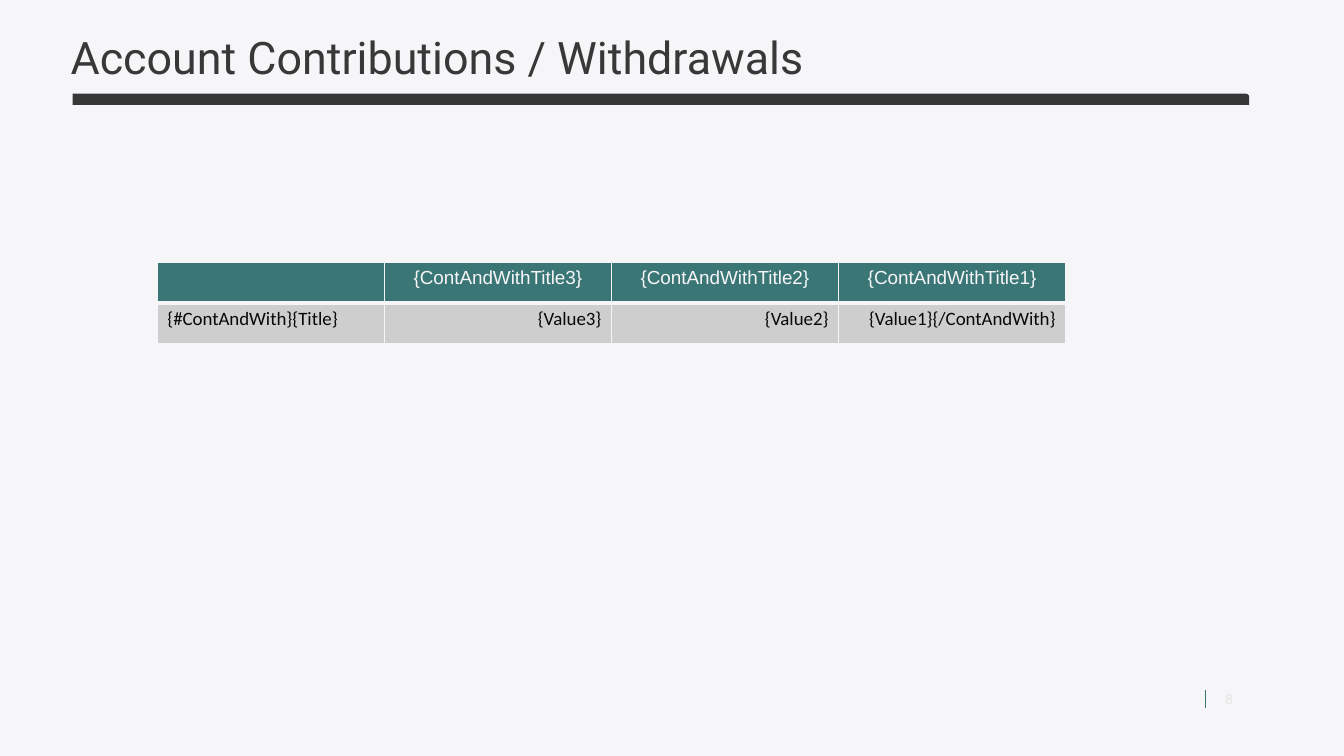
from lxml import etree
from pptx import Presentation
from pptx import util as u
from pptx.dml.color import RGBColor
from pptx.enum import shapes, text
from pptx.oxml import ns

PAPER = RGBColor(0xF6, 0xF5, 0xF7)
TEAL = RGBColor(0x3B, 0x76, 0x76)
CHARCOAL = RGBColor(0x38, 0x38, 0x38)
GREY = RGBColor(0xCE, 0xCE, 0xCE)
INK = RGBColor(0x08, 0x08, 0x08)
BAR = RGBColor(0x0C, 0x0C, 0x0C)
PALE = RGBColor(0xE6, 0xE6, 0xE6)
LEFT, CENTER, RIGHT = text.PP_ALIGN.LEFT, text.PP_ALIGN.CENTER, text.PP_ALIGN.RIGHT


class Deck:
    """Holds the presentation style and the current slide."""

    def __init__(self):
        self.prs = Presentation()
        self.prs.slide_width, self.prs.slide_height = u.Inches(13.33), u.Inches(7.5)
        self.s = self.prs.slides.add_slide(self.prs.slide_layouts[5])
        self.s.background.fill.solid()
        self.s.background.fill.fore_color.rgb = PAPER

    def add_text(self, tf, words, size, font, color, align):
        p = tf.paragraphs[0]
        p.alignment = align
        r = p.add_run()
        r.text = words
        r.font.size, r.font.name = u.Pt(size), font
        r.font.color.rgb = color
        return p

    def title(self, words, box):
        sp = self.s.shapes.title
        sp.left, sp.top, sp.width, sp.height = map(u.Inches, box)
        tf = sp.text_frame
        tf.word_wrap = True
        tf.vertical_anchor = text.MSO_ANCHOR.MIDDLE
        self.add_text(tf, words, 32, "Roboto", CHARCOAL, LEFT).line_spacing = 0.7

    def bar(self, box):
        sp = self.s.shapes.add_shape(shapes.MSO_SHAPE.ROUND_1_RECTANGLE, *map(u.Inches, box))
        sp.adjustments[0] = 0.3
        sp.shadow.inherit = False
        sp.fill.solid()
        sp.fill.fore_color.rgb = BAR
        color = sp._element.spPr.find(".//" + ns.qn("a:srgbClr"))
        etree.SubElement(color, ns.qn("a:alpha"), val="81000")
        sp.line.fill.background()

    def line(self, *ends):
        cx = self.s.shapes.add_connector(shapes.MSO_CONNECTOR.STRAIGHT, *map(u.Inches, ends))
        cx.line.color.rgb, cx.line.width = TEAL, u.Pt(0.5)
        etree.SubElement(cx._element.spPr, ns.qn("a:effectLst"))

    def label(self, words, box):
        tf = self.s.shapes.add_textbox(*map(u.Inches, box)).text_frame
        tf.word_wrap = True
        tf.vertical_anchor = text.MSO_ANCHOR.MIDDLE
        self.add_text(tf, words, 10, "Roboto", PALE, CENTER)

    def borders(self, cell, bottom):
        tcPr = cell._tc.get_or_add_tcPr()
        for i, (side, width) in enumerate((("L", 1), ("R", 1), ("T", 1), ("B", bottom))):
            ln = etree.Element(ns.qn("a:ln" + side), w=str(int(u.Pt(width))))
            fill = etree.SubElement(ln, ns.qn("a:solidFill"))
            etree.SubElement(fill, ns.qn("a:srgbClr"), val=str(PAPER))
            tcPr.insert(i, ln)

    def table(self, rows, box):
        frame = self.s.shapes.add_table(len(rows), len(rows[0]), *map(u.Inches, box))
        for i, row in enumerate(rows):
            header = i == 0
            font, color = ("Arial", PAPER) if header else ("Calibri", INK)
            for j, words in enumerate(row):
                cell = frame.table.cell(i, j)
                cell.fill.solid()
                cell.fill.fore_color.rgb = TEAL if header else GREY
                self.borders(cell, 3 if header else 1)
                if words:
                    align = CENTER if header else RIGHT if j else LEFT
                    self.add_text(cell.text_frame, words, 13.5, font, color, align)


def main():
    deck = Deck()
    deck.line(11.95, 6.85, 11.95, 7.02)
    deck.title("Account Contributions / Withdrawals", (0.6, 0.32, 11.5, 0.61))
    deck.bar((0.72, 0.93, 11.67, 0.11))
    deck.table([
        ["", "{ContAndWithTitle3}", "{ContAndWithTitle2}", "{ContAndWithTitle1}"],
        ["{#ContAndWith}{Title}", "{Value3}", "{Value2}", "{Value1}{/ContAndWith}"],
    ], (1.56, 2.6, 9.01, 0.81))
    deck.label("8", (11.99, 6.78, 0.4, 0.3))
    deck.prs.save("out.pptx")


if __name__ == "__main__":
    main()
